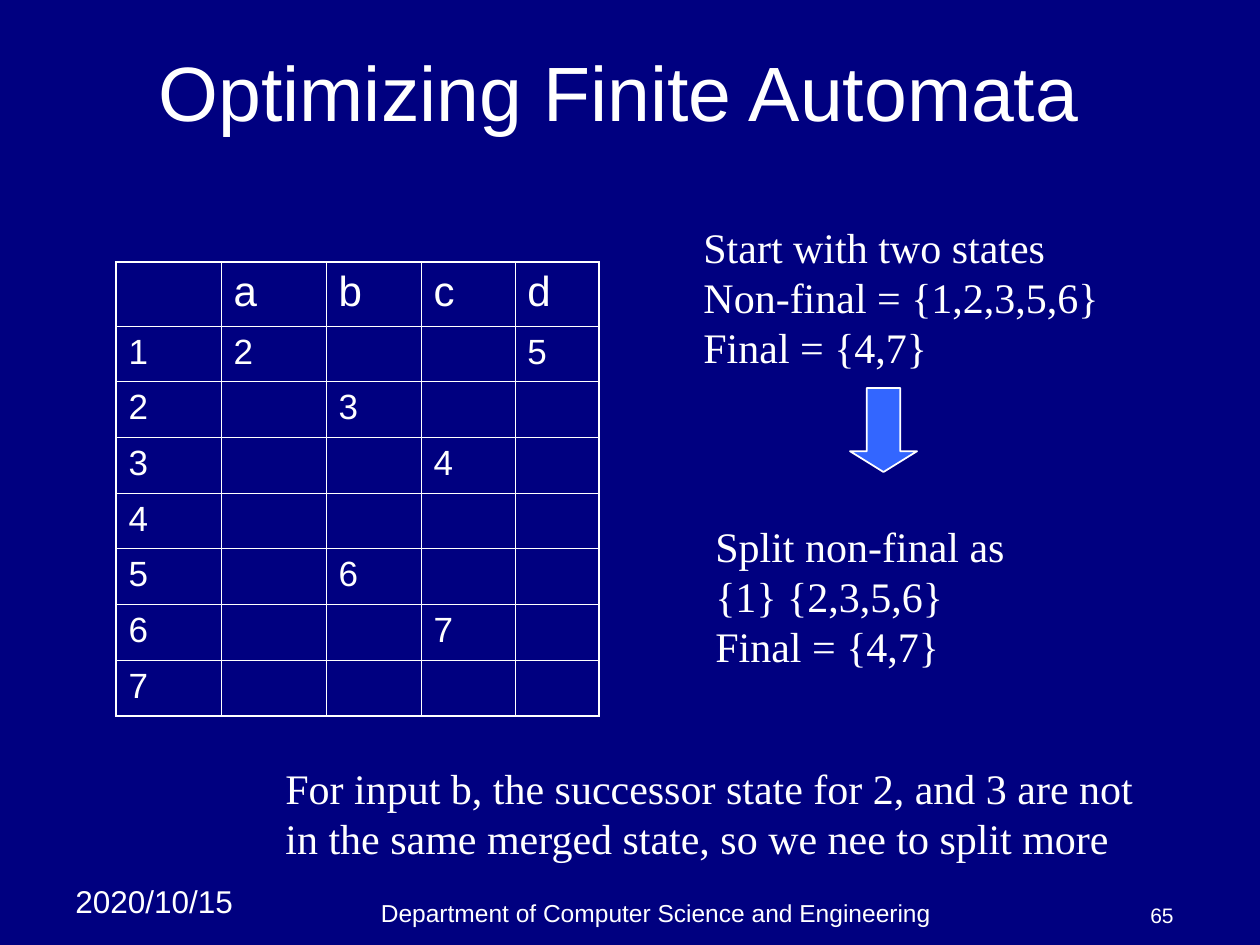
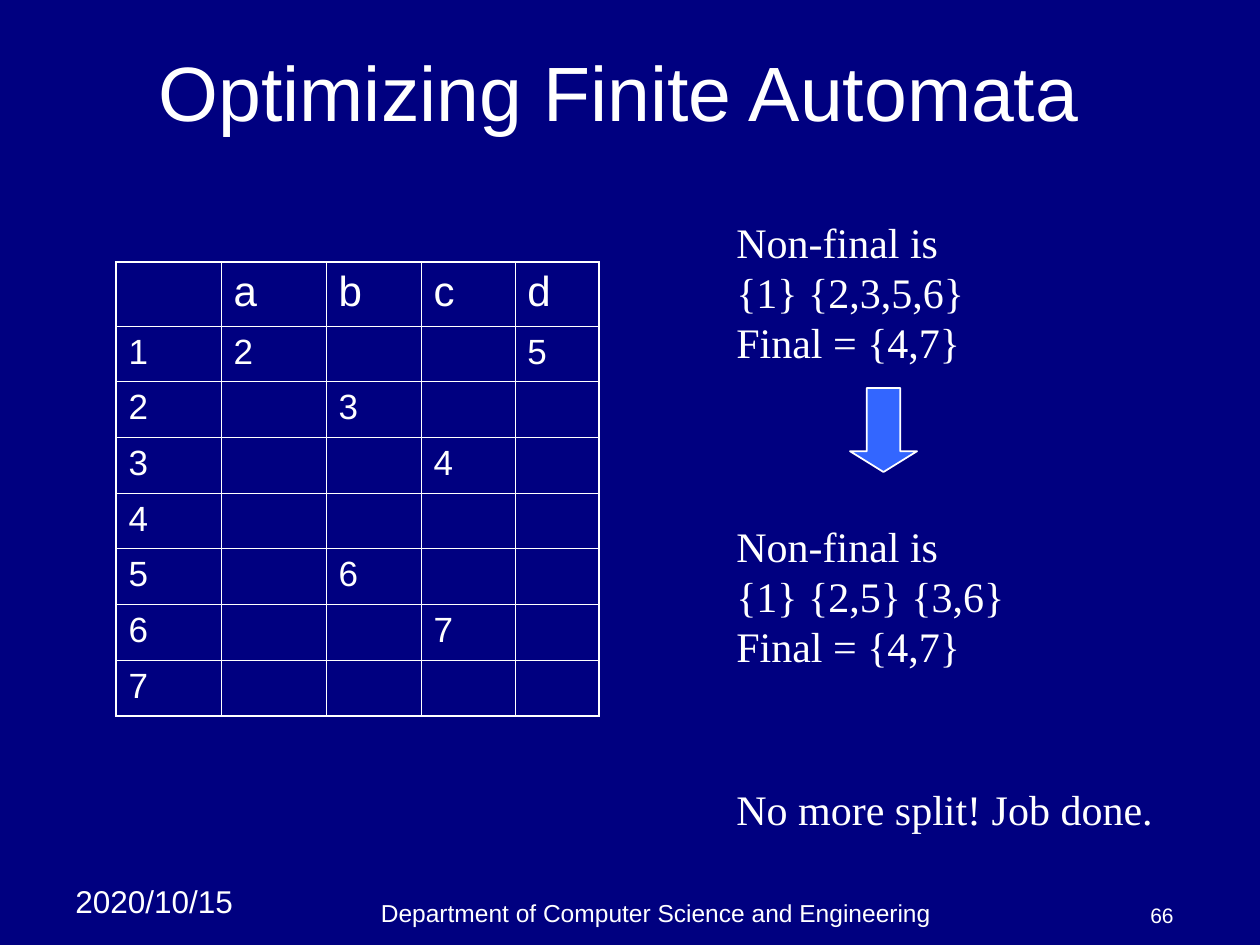
import dataclasses

import lxml.etree
import pptx
import pptx.dml.color
import pptx.enum.shapes
import pptx.enum.text
import pptx.oxml.ns
import pptx.util

ALIGN = pptx.enum.text.PP_ALIGN
ANCHOR = pptx.enum.text.MSO_ANCHOR

TITLE = "Optimizing Finite Automata "
DATE = "2020/10/15"
DEPARTMENT = "Department of Computer Science and Engineering"
FIRST_NUMBER = 65

INPUTS = ["a", "b", "c", "d"]
STATES = range(1, 8)
TRANSITIONS = {(1, "a"): 2, (1, "d"): 5, (2, "b"): 3, (3, "c"): 4,
               (5, "b"): 6, (6, "c"): 7}

# Each step holds notes: (left, top, width, height) and the lines within.
STEPS = [
    [
        ((691, 215, 421, 164),
         ["Start with two states", "Non-final = {1,2,3,5,6}", "Final = {4,7}"]),
        ((703, 514, 325, 164),
         ["Split non-final as", "{1} {2,3,5,6}", "Final = {4,7}"]),
        ((273, 756, 874, 113),
         ["For input b, the successor state for 2, and 3 are not",
          "in the same merged state, so we nee to split more"]),
    ],
    [
        ((724, 210, 325, 164),
         ["Non-final is", "{1} {2,3,5,6}", "Final = {4,7}"]),
        ((724, 514, 325, 164),
         ["Non-final is", "{1} {2,5} {3,6}", "Final = {4,7}"]),
        ((724, 777, 452, 63), ["No more split! Job done."]),
    ],
]

TITLE_BOX = (63, 38, 1134, 105)
DATE_BOX = (63, 876, 199, 50)
DEPARTMENT_BOX = (231, 892, 850, 42)
NUMBER_BOX = (1102, 892, 84, 42)
ARROW_BOX = (850, 388, 67, 84)
TABLE_LEFT, TABLE_TOP, TABLE_HEIGHT = 116, 262, 454
HEADER_HEIGHT = 64
COLUMN_WIDTHS = [105, 105, 95, 94, 84]


@dataclasses.dataclass(frozen=True)
class Theme:
    background: str = "000080"
    ink: str = "FFFFFF"
    arrow: str = "3366FF"
    sans: str = "Arial"
    serif: str = "Times New Roman"
    title: int = 44
    note: int = 24
    header: int = 24
    state: int = 20
    date: int = 18
    department: int = 14
    number: int = 12
    outer_border: float = 1.08
    inner_border: float = 0.45


THEME = Theme()


def px(length):
    return pptx.util.Emu(round(length * 914400 / 126))


def rgb(code):
    return pptx.dml.color.RGBColor.from_string(code)


def write(frame, lines, size, font=THEME.sans, align=ALIGN.LEFT):
    for index, line in enumerate(lines):
        paragraph = frame.add_paragraph() if index else frame.paragraphs[0]
        paragraph.alignment = align
        run = paragraph.add_run()
        run.text = line
        run.font.name = font
        run.font.size = pptx.util.Pt(size)
        run.font.color.rgb = rgb(THEME.ink)


def add_text(slide, box, lines, size, font=THEME.sans, align=ALIGN.LEFT,
             anchor=ANCHOR.TOP):
    frame = slide.shapes.add_textbox(*map(px, box)).text_frame
    frame.word_wrap = True
    frame.vertical_anchor = anchor
    write(frame, lines, size, font, align)


def add_title(slide):
    title = slide.shapes.title
    title.left, title.top, title.width, title.height = map(px, TITLE_BOX)
    title.text_frame.auto_size = pptx.enum.text.MSO_AUTO_SIZE.NONE
    title.text_frame.vertical_anchor = ANCHOR.MIDDLE
    write(title.text_frame, [TITLE], THEME.title, align=ALIGN.CENTER)


def add_footers(slide, number):
    add_text(slide, DATE_BOX, [DATE], THEME.date)
    add_text(slide, DEPARTMENT_BOX, [DEPARTMENT], THEME.department,
             align=ALIGN.CENTER, anchor=ANCHOR.BOTTOM)
    add_text(slide, NUMBER_BOX, [str(number)], THEME.number,
             align=ALIGN.RIGHT, anchor=ANCHOR.BOTTOM)


def set_borders(cell, outer_sides):
    """Draw all four sides, with the thicker line where outer_sides is true."""
    properties = cell._tc.get_or_add_tcPr()
    qn = pptx.oxml.ns.qn
    for side, is_outer in outer_sides.items():
        width = THEME.outer_border if is_outer else THEME.inner_border
        line = lxml.etree.SubElement(properties, qn(f"a:ln{side}"),
                                     w=str(pptx.util.Pt(width)))
        fill = lxml.etree.SubElement(line, qn("a:solidFill"))
        lxml.etree.SubElement(fill, qn("a:srgbClr"), val=THEME.ink)


def add_transition_table(slide):
    rows = [["", *INPUTS]]
    for state in STATES:
        rows.append([str(state)] + [str(TRANSITIONS.get((state, symbol), ""))
                                    for symbol in INPUTS])
    last_row, last_column = len(rows) - 1, len(INPUTS)
    table = slide.shapes.add_table(
        len(rows), len(COLUMN_WIDTHS), px(TABLE_LEFT), px(TABLE_TOP),
        px(sum(COLUMN_WIDTHS)), px(TABLE_HEIGHT)).table
    table.first_row = table.horz_banding = False
    for column, width in zip(table.columns, COLUMN_WIDTHS):
        column.width = px(width)
    state_height = (TABLE_HEIGHT - HEADER_HEIGHT) / len(STATES)
    for r, values in enumerate(rows):
        table.rows[r].height = px(state_height if r else HEADER_HEIGHT)
        for c, value in enumerate(values):
            cell = table.cell(r, c)
            set_borders(cell, {"L": c == 0, "R": c == last_column,
                               "T": r == 0, "B": r == last_row})
            cell.fill.background()
            if value:
                write(cell.text_frame, [value],
                      THEME.state if r else THEME.header)


def add_arrow(slide):
    arrow = slide.shapes.add_shape(
        pptx.enum.shapes.MSO_SHAPE.DOWN_ARROW, *map(px, ARROW_BOX))
    arrow.adjustments[0] = 0.5
    arrow.adjustments[1] = 0.31
    arrow.shadow.inherit = False
    arrow.fill.solid()
    arrow.fill.fore_color.rgb = rgb(THEME.arrow)
    arrow.line.color.rgb = rgb(THEME.ink)
    arrow.line.width = pptx.util.Pt(1)


def main():
    deck = pptx.Presentation()
    deck.slide_width, deck.slide_height = px(1260), px(945)
    backdrop = deck.slide_master.background.fill
    backdrop.solid()
    backdrop.fore_color.rgb = rgb(THEME.background)
    title_only = deck.slide_layouts.get_by_name("Title Only")
    for number, notes in enumerate(STEPS, FIRST_NUMBER):
        slide = deck.slides.add_slide(title_only)
        add_footers(slide, number)
        add_title(slide)
        add_transition_table(slide)
        add_arrow(slide)
        for box, lines in notes:
            add_text(slide, box, lines, THEME.note, THEME.serif)
    deck.save("out.pptx")


if __name__ == "__main__":
    main()
